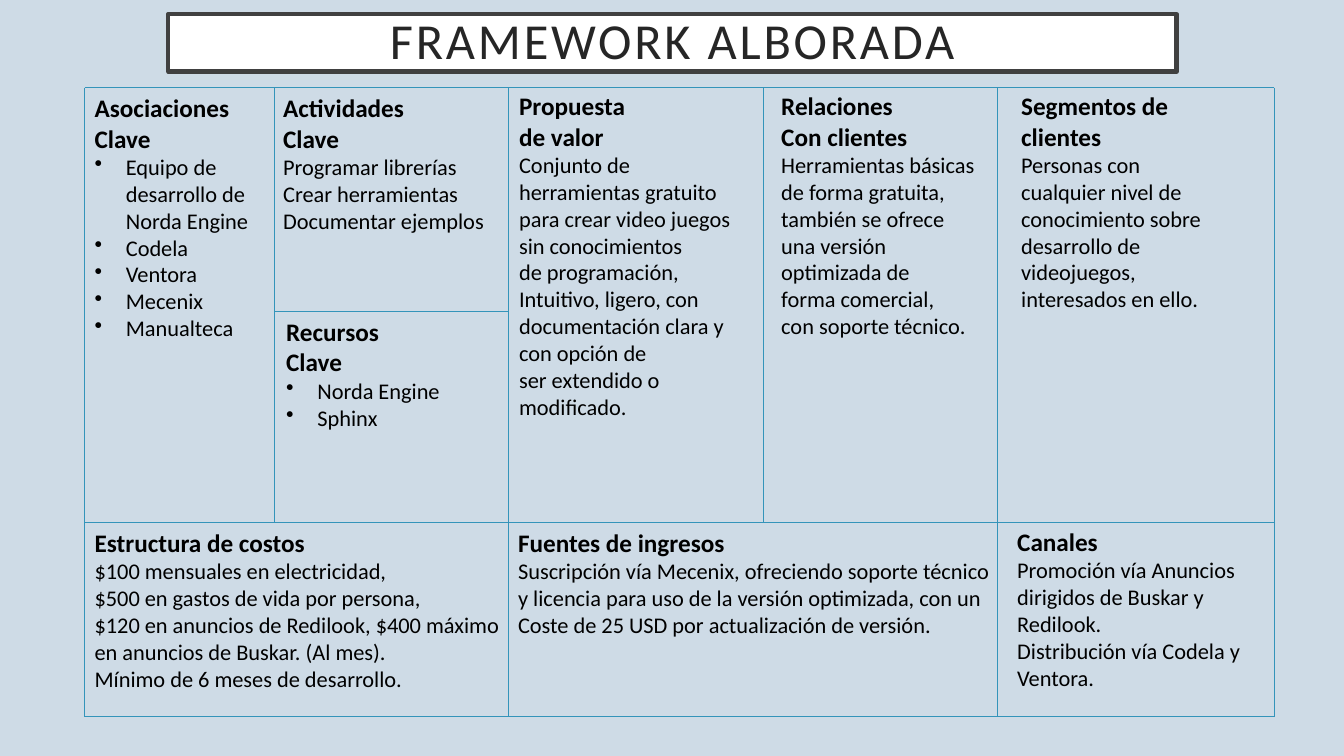
"""Build a one-slide business model canvas for a software framework."""
from dataclasses import dataclass

from lxml import etree
from pptx import Presentation
from pptx.dml.color import RGBColor
from pptx.enum.shapes import MSO_CONNECTOR, MSO_SHAPE
from pptx.enum.text import MSO_ANCHOR, MSO_AUTO_SIZE, PP_ALIGN
from pptx.oxml.ns import qn
from pptx.slide import Slide
from pptx.util import Inches, Pt

RECTANGLE = MSO_SHAPE.RECTANGLE
STRAIGHT = MSO_CONNECTOR.STRAIGHT
MIDDLE = MSO_ANCHOR.MIDDLE
CENTER = PP_ALIGN.CENTER
GROW = MSO_AUTO_SIZE.SHAPE_TO_FIT_TEXT

BACKGROUND = RGBColor(0xCE, 0xDB, 0xE6)
WHITE = RGBColor(0xFF, 0xFF, 0xFF)
BLACK = RGBColor(0x00, 0x00, 0x00)
TITLE_BORDER = RGBColor(0x40, 0x40, 0x40)
TITLE_TEXT = RGBColor(0x26, 0x26, 0x26)
RULE_COLOR = RGBColor(0x34, 0x94, 0xBA)

FONT = "Calibri"
BULLET_INDENT = 0.31
LEFT, ACTIVITIES, VALUE, RELATIONS, SEGMENTS, RIGHT = 0.84, 2.72, 5.04, 7.57, 9.89, 12.64
TOP, RESOURCES, COSTS, BOTTOM = 0.87, 3.09, 5.18, 7.11


@dataclass(frozen=True)
class Rule:
    """A thin divider of the canvas."""
    x1: float
    y1: float
    x2: float
    y2: float


@dataclass(frozen=True)
class Block:
    """A canvas block with its headings and body lines."""
    left: float
    top: float
    width: float
    height: float
    headings: tuple[str, ...]
    body: tuple[str, ...]
    bulleted: bool = False
    wrap: bool = True


RULES = (
    *(Rule(x, TOP, x, BOTTOM) for x in (LEFT, SEGMENTS, RIGHT)),
    *(Rule(x, TOP, x, COSTS) for x in (ACTIVITIES, VALUE, RELATIONS)),
    *(Rule(LEFT, y, RIGHT, y) for y in (TOP, COSTS, BOTTOM)),
    Rule(ACTIVITIES, RESOURCES, VALUE, RESOURCES),
    Rule(VALUE, COSTS, VALUE, BOTTOM),
)

BLOCKS = (
    Block(LEFT, TOP, 1.85, 2.59, ("Asociaciones\nClave",),
          ("Equipo de\ndesarrollo de\nNorda Engine", "Codela", "Ventora", "Mecenix",
           "Manualteca"), bulleted=True),
    Block(2.71, TOP, 2.22, 1.51, ("Actividades\nClave",),
          ("Programar librerías", "Crear herramientas", "Documentar ejemplos"), wrap=False),
    Block(2.74, RESOURCES, 1.76, 1.25, ("Recursos\nClave",),
          ("Norda Engine", "Sphinx"), bulleted=True, wrap=False),
    Block(5.05, 0.85, 2.51, 3.4, ("Propuesta", "de valor"),
          ("Conjunto de herramientas gratuito", "para crear video juegos",
           "sin conocimientos", "de programación,", "Intuitivo, ligero, con",
           "documentación clara y", "con opción de", "ser extendido o", "modificado.")),
    Block(7.65, 0.85, 2.21, 2.59, ("Relaciones", "Con clientes"),
          ("Herramientas básicas de forma gratuita,", "también se ofrece", "una versión",
           "optimizada de", "forma comercial,", "con soporte técnico.")),
    Block(10.03, 0.85, 2.06, 2.59, ("Segmentos de", "clientes"),
          ("Personas con", "cualquier nivel de", "conocimiento sobre", "desarrollo de",
           "videojuegos,", "interesados en ello."), wrap=False),
    Block(LEFT, COSTS, 4.34, 1.75, ("Estructura de costos",),
          ("$100 mensuales en electricidad,", "$500 en gastos de vida por persona,",
           "$120 en anuncios de Redilook, $400 máximo", "en anuncios de Buskar. (Al mes).",
           "Mínimo de 6 meses de desarrollo.")),
    Block(VALUE, COSTS, 4.9, 1.82, ("Fuentes de ingresos",),
          ("Suscripción vía Mecenix, ofreciendo soporte técnico",
           "y licencia para uso de la versión optimizada, con un",
           "Coste de 25 USD por actualización de versión."), wrap=False),
    Block(9.99, 5.17, 2.48, 2.05, ("Canales",),
          ("Promoción vía Anuncios", "dirigidos de Buskar y", "Redilook.",
           "Distribución vía Codela y", "Ventora."), wrap=False),
)


def add_title(slide: Slide, text: str) -> None:
    """Draw the framed title."""
    shape = slide.shapes.add_shape(RECTANGLE, Inches(1.67), Inches(0.14), Inches(10), Inches(0.57))
    shape.shadow.inherit = False
    shape.fill.solid()
    shape.fill.fore_color.rgb = WHITE
    shape.line.color.rgb = TITLE_BORDER
    shape.line.width = Pt(3)
    frame = shape.text_frame
    frame.vertical_anchor = MIDDLE
    frame.margin_left = frame.margin_right = Inches(0.3)
    frame.margin_top = frame.margin_bottom = Inches(0.2)
    paragraph = frame.paragraphs[0]
    paragraph.alignment = CENTER
    paragraph.line_spacing = 0.9
    run = paragraph.add_run()
    run.text = text
    run.font.name = FONT
    run.font.size = Pt(36)
    run.font.color.rgb = TITLE_TEXT
    run.font._element.set("spc", "200")


def add_rule(slide: Slide, rule: Rule) -> None:
    """Draw one divider without a shadow."""
    connector = slide.shapes.add_connector(
        STRAIGHT, Inches(rule.x1), Inches(rule.y1), Inches(rule.x2), Inches(rule.y2))
    connector.line.color.rgb = RULE_COLOR
    connector.line.width = Pt(0.5)
    etree.SubElement(connector._element.spPr, qn("a:effectLst"))


def add_block(slide: Slide, block: Block) -> None:
    """Write one block with bold headings over its body lines."""
    shape = slide.shapes.add_textbox(
        Inches(block.left), Inches(block.top), Inches(block.width), Inches(block.height))
    frame = shape.text_frame
    frame.word_wrap = block.wrap
    frame.auto_size = GROW
    for index, text in enumerate(block.headings + block.body):
        is_heading = index < len(block.headings)
        paragraph = frame.add_paragraph() if index else frame.paragraphs[0]
        paragraph.text = text
        paragraph.font.name = FONT
        paragraph.font.size = Pt(18 if is_heading else 16)
        paragraph.font.bold = is_heading
        paragraph.font.color.rgb = BLACK
        if block.bulleted and not is_heading:
            properties = paragraph._p.get_or_add_pPr()
            properties.set("marL", str(Inches(BULLET_INDENT)))
            properties.set("indent", str(-Inches(BULLET_INDENT)))
            bullet = etree.Element(qn("a:buChar"), char="•")
            properties.insert(0, bullet)


def main() -> None:
    """Assemble and save the presentation."""
    presentation = Presentation()
    presentation.slide_width = Inches(13.33)
    presentation.slide_height = Inches(7.5)
    slide = presentation.slides.add_slide(presentation.slide_layouts[6])
    slide.background.fill.solid()
    slide.background.fill.fore_color.rgb = BACKGROUND
    add_title(slide, "FRAMEWORK ALBORADA")
    for rule in RULES:
        add_rule(slide, rule)
    for block in BLOCKS:
        add_block(slide, block)
    presentation.save("out.pptx")


if __name__ == "__main__":
    main()
